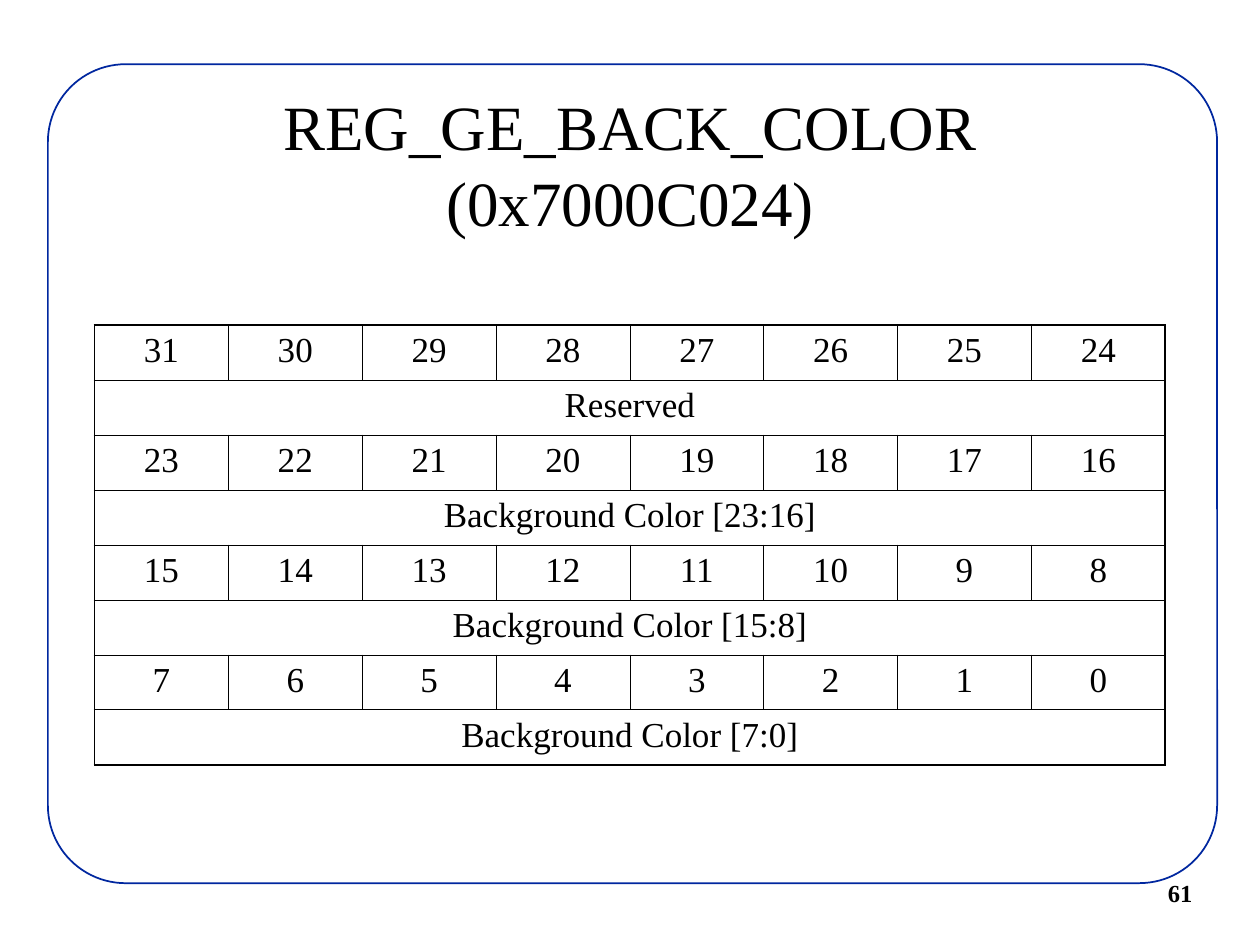
"""Build the slide that shows the bit layout of the background color register."""
from dataclasses import dataclass

from lxml.etree import SubElement
from pptx import Presentation
from pptx.dml.color import RGBColor
from pptx.enum.shapes import MSO_SHAPE
from pptx.enum.text import MSO_ANCHOR, PP_ALIGN
from pptx.oxml.ns import qn
from pptx.util import Inches, Pt


@dataclass(frozen=True)
class Theme:
    face: str = "Times New Roman"
    ink: str = "000000"
    paper: str = "FFFFFF"
    frame: str = "00279F"
    title: int = 36
    body: int = 20
    page: int = 14
    thin: float = 0.45
    thick: float = 1.08


def apply(target, values):
    for name, value in values.items():
        setattr(target, name, value)


def place(box):
    return [Inches(side) for side in box]


class Deck:
    def __init__(self, theme):
        self.theme = theme
        self.show = Presentation()
        apply(self.show, {"slide_width": Inches(10), "slide_height": Inches(7.5)})
        self.slide = self.show.slides.add_slide(self.show.slide_layouts[5])

    def label(self, frame, text, size, align=PP_ALIGN.LEFT, bold=False):
        frame.text = text
        for para in frame.paragraphs:
            para.alignment = align
            for run in para.runs:
                apply(run.font, {"name": self.theme.face, "size": Pt(size), "bold": bold})
                run.font.color.rgb = RGBColor.from_string(self.theme.ink)

    def frame(self, box, bend):
        shape = self.slide.shapes.add_shape(MSO_SHAPE.ROUNDED_RECTANGLE, *place(box))
        shape.adjustments[0] = bend
        shape.shadow.inherit = False
        shape.fill.solid()
        shape.fill.fore_color.rgb = RGBColor.from_string(self.theme.paper)
        shape.line.color.rgb = RGBColor.from_string(self.theme.frame)
        shape.line.width = Pt(1)
        self.slide.shapes.title.element.addprevious(shape.element)

    def title(self, text, box):
        head = self.slide.shapes.title
        apply(head, dict(zip(("left", "top", "width", "height"), place(box))))
        apply(head.text_frame, {"word_wrap": True, "vertical_anchor": MSO_ANCHOR.MIDDLE})
        self.label(head.text_frame, text, self.theme.title, PP_ALIGN.CENTER)

    def page(self, text, box):
        note = self.slide.shapes.add_textbox(*place(box))
        note.text_frame.word_wrap = True
        self.label(note.text_frame, text, self.theme.page, bold=True)

    def border(self, cell, outer):
        props = cell._tc.get_or_add_tcPr()
        for side in "LRTB":
            width = self.theme.thick if side in outer else self.theme.thin
            line = SubElement(props, qn(f"a:ln{side}"), w=str(int(Pt(width))))
            fill = SubElement(line, qn("a:solidFill"))
            SubElement(fill, qn("a:srgbClr"), val=self.theme.ink)

    def cell(self, cell, text, outer):
        self.border(cell, outer)
        cell.fill.background()
        self.label(cell.text_frame, text, self.theme.body, PP_ALIGN.CENTER)

    def table(self, fields, bits, box):
        rows = 2 * len(fields)
        grid = self.slide.shapes.add_table(rows, bits, *place(box)).table
        apply(grid, {"first_row": False, "horz_banding": False})
        high = bits * len(fields) - 1
        for order, field in enumerate(fields):
            row = 2 * order
            for col in range(bits):
                outer = "T" * (row == 0) + "L" * (col == 0) + "R" * (col == bits - 1)
                self.cell(grid.cell(row, col), str(high - bits * order - col), outer)
            wide = grid.cell(row + 1, 0)
            wide.merge(grid.cell(row + 1, bits - 1))
            self.cell(wide, field, "LR" + "B" * (row + 2 == rows))

    def save(self):
        self.show.save("out.pptx")


def main():
    deck = Deck(Theme())
    deck.frame((0.38, 0.51, 9.28, 6.5), 0.095)
    deck.page("61", (9.17, 6.92, 0.83, 0.33))
    deck.title("REG_GE_BACK_COLOR\v(0x7000C024)", (0.75, 0.67, 8.5, 1.25))
    fields = ["Reserved"] + [f"Background Color [{span}]" for span in ("23:16", "15:8", "7:0")]
    deck.table(fields, 8, (0.75, 2.58, 8.5, 3.49))
    deck.save()


if __name__ == "__main__":
    main()
